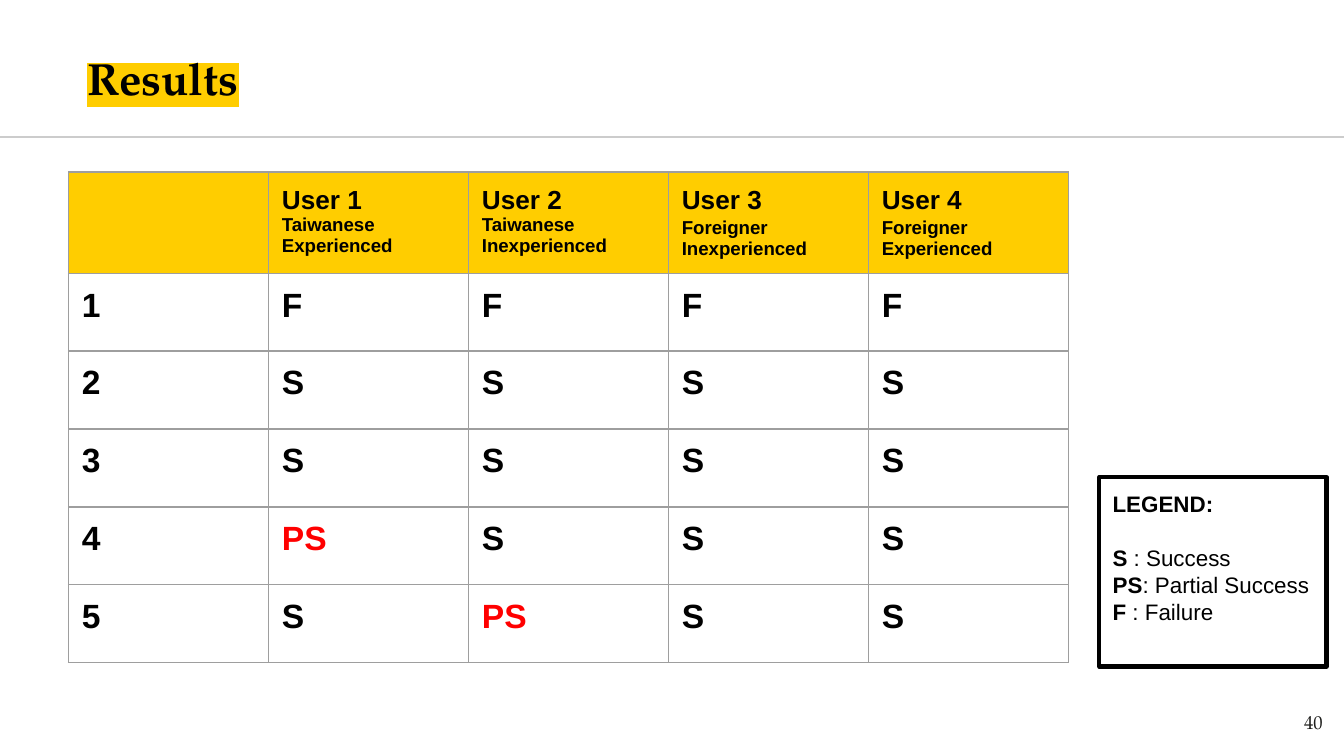
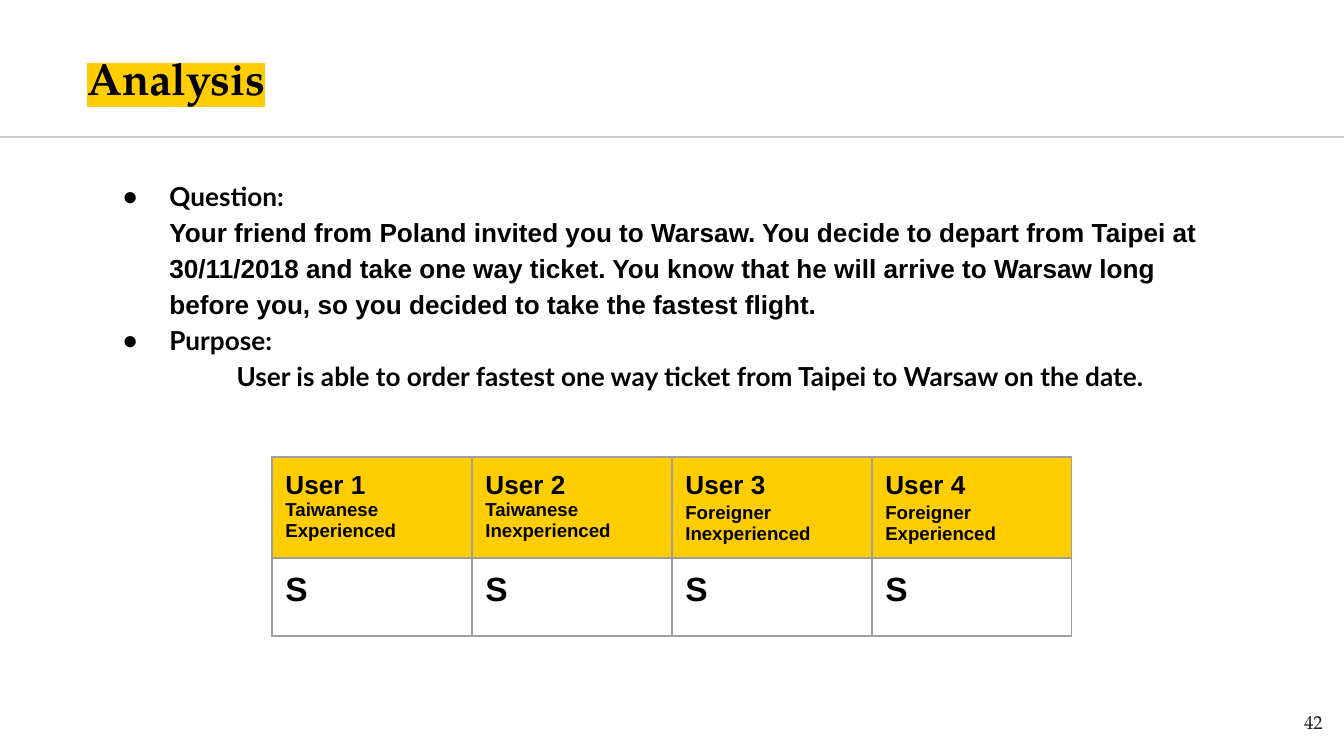
from lxml import etree
from pptx import Presentation
from pptx.dml.color import RGBColor
from pptx.enum.shapes import MSO_CONNECTOR, MSO_SHAPE
from pptx.enum.text import MSO_ANCHOR, MSO_AUTO_SIZE, PP_ALIGN
from pptx.oxml.ns import qn
from pptx.util import Inches, Pt

LEFT, RIGHT = PP_ALIGN.LEFT, PP_ALIGN.RIGHT
TOP, MIDDLE = MSO_ANCHOR.TOP, MSO_ANCHOR.MIDDLE

WIDE = 10
HIGH = WIDE * 9 / 16
GOLD, BLACK, WHITE, RED = "FFCD00", "000000", "FFFFFF", "FF0000"
RULE, GRID, INK = "CCCCCC", "9E9E9E", "1D1D1B"
SERIF, SANS, LATO = "TeX Gyre Pagella", "Arial", "Lato"
INSET = 0.1
COL, HEAD, ROW = 7.44 / 5, 0.75, 0.58

USERS = [
    ("User 1", [("Taiwanese Experienced", 1)]),
    ("User 2", [("Taiwanese Inexperienced", 1)]),
    ("User 3", [("Foreigner", 1.15), ("Inexperienced", 1)]),
    ("User 4", [("Foreigner", 1.15), ("Experienced", 1)]),
]
SCORES = [
    ["1", "F", "F", "F", "F"],
    ["2", "S", "S", "S", "S"],
    ["3", "S", "S", "S", "S"],
    ["4", "PS", "S", "S", "S"],
    ["5", "S", "PS", "S", "S"],
]
FINAL = [["S", "S", "S", "S"]]
LEGEND = [("S", " : Success"), ("PS", ": Partial Success"), ("F", " : Failure")]
POINTS = [
    ("Question:", dict(font=LATO, bullet="●", margin=0.5, indent=-0.35)),
    ("Your friend from Poland invited you to Warsaw. You decide to depart from "
     "Taipei at 30/11/2018 and take one way ticket. You know that he will arrive "
     "to Warsaw long before you, so you decided to take the fastest flight.",
     dict(font=SANS, margin=0.5)),
    ("Purpose:", dict(font=LATO, bullet="●", margin=0.5, indent=-0.35)),
    ("User is able to order fastest one way ticket from Taipei to Warsaw on the date.",
     dict(font=LATO, margin=1)),
]


def rgb(code):
    return RGBColor.from_string(code)


def tag(up, name, **attrs):
    return etree.SubElement(up, qn("a:" + name), attrs)


def box(shape, left, top, width, height):
    shape.left, shape.top = Inches(left), Inches(top)
    shape.width, shape.height = Inches(width), Inches(height)


def prep(frame, anchor=TOP):
    frame.word_wrap = True
    frame.auto_size = MSO_AUTO_SIZE.NONE
    frame.vertical_anchor = anchor
    frame.margin_left = frame.margin_right = Inches(INSET)
    frame.margin_top = frame.margin_bottom = Inches(INSET)
    return frame


def say(frame, text, rest="", size=14, font=SANS, color=BLACK, bold=True,
        mark=None, bullet=None, margin=0, indent=0, lead=1, after=0, align=LEFT):
    para = frame.paragraphs[-1]
    if para.runs:
        para = frame.add_paragraph()
    para.alignment = align
    para.line_spacing = lead
    para.space_before, para.space_after = Pt(0), Pt(after)
    props = para._p.get_or_add_pPr()
    props.set("marL", str(Inches(margin)))
    props.set("indent", str(Inches(indent)))
    if bullet:
        tag(tag(props, "buClr"), "srgbClr", val=color)
        tag(props, "buFont", typeface=SANS)
        tag(props, "buChar", char=bullet)
    else:
        tag(props, "buNone")
    for part, thick in ((text, bold), (rest, False)):
        if not part:
            continue
        run = para.add_run()
        run.text = part
        run.font.size, run.font.bold = Pt(size), thick
        run.font.color.rgb = rgb(color)
        if mark:
            tag(tag(run._r.get_or_add_rPr(), "highlight"), "srgbClr", val=mark)
        run.font.name = font


def edge(cell):
    props = cell._tc.get_or_add_tcPr()
    for spot, side in enumerate(("lnL", "lnR", "lnT", "lnB")):
        line = tag(props, side, w=str(Pt(0.75)))
        tag(tag(line, "solidFill"), "srgbClr", val=GRID)
        props.insert(spot, line)


def grid(slide, rows, left, top):
    cols = len(rows[0])
    heads = [None] * (cols - len(USERS)) + USERS
    high = HEAD + ROW * len(rows)
    table = slide.shapes.add_table(len(rows) + 1, cols, Inches(left), Inches(top),
                                   Inches(COL * cols), Inches(high)).table
    table.first_row = table.horz_banding = False
    for col in table.columns:
        col.width = Inches(COL)
    for r, row in enumerate([heads] + rows):
        table.rows[r].height = Inches(ROW if r else HEAD)
        for c, item in enumerate(row):
            cell = table.cell(r, c)
            cell.margin_left = cell.margin_right = Inches(INSET)
            cell.margin_top = cell.margin_bottom = Inches(INSET)
            if r:
                cell.fill.background()
            else:
                cell.fill.solid()
                cell.fill.fore_color.rgb = rgb(GOLD)
            edge(cell)
            if r:
                say(cell.text_frame, item, size=18, color=RED if item == "PS" else BLACK)
            elif item:
                name, notes = item
                say(cell.text_frame, name)
                for note, lead in notes:
                    say(cell.text_frame, note, size=10, lead=lead)


def page(deck, layout, title, number):
    slide = deck.slides.add_slide(deck.slide_layouts[layout])
    slide.background.fill.solid()
    slide.background.fill.fore_color.rgb = rgb(WHITE)
    head = slide.shapes.title
    box(head, 0.55, 0.29, WIDE - 1.1, 0.57)
    say(prep(head.text_frame, MIDDLE), title, size=24, font=SERIF, mark=GOLD)
    line = slide.shapes.add_connector(MSO_CONNECTOR.STRAIGHT, Inches(-0.01),
                                      Inches(1.02), Inches(WIDE + 0.01), Inches(1.02))
    line.line.color.rgb = rgb(RULE)
    line.line.width = Pt(0.75)
    tag(line._element.spPr, "effectLst")
    foot = slide.shapes.add_textbox(Inches(9.34), Inches(5.19),
                                    Inches(0.6), Inches(0.43))
    say(prep(foot.text_frame), number, size=10, font=SERIF, color=INK,
        bold=False, align=RIGHT)
    return slide


def key(slide):
    rect = slide.shapes.add_shape(MSO_SHAPE.RECTANGLE, Inches(8.18), Inches(3.55),
                                  Inches(1.69), Inches(1.41))
    rect.shadow.inherit = False
    rect.fill.background()
    rect.line.color.rgb = rgb(BLACK)
    rect.line.width = Pt(2.25)
    frame = prep(rect.text_frame)
    say(frame, "LEGEND:", size=12, after=14.4)
    for code, sense in LEGEND:
        say(frame, code, sense, size=12)


def main():
    deck = Presentation()
    deck.slide_width, deck.slide_height = Inches(WIDE), Inches(HIGH)

    results = page(deck, 5, "Results", "40")
    grid(results, SCORES, 0.51, 1.28)
    key(results)

    study = page(deck, 1, "Analysis", "42")
    body = study.placeholders[1]
    box(body, 0.66, 1.21, 8.5, 1.26)
    frame = prep(body.text_frame)
    for text, form in POINTS:
        say(frame, text, lead=1.15, **form)
    grid(study, FINAL, (WIDE - COL * len(USERS)) / 2, 3.4)

    deck.save("out.pptx")


if __name__ == "__main__":
    main()
